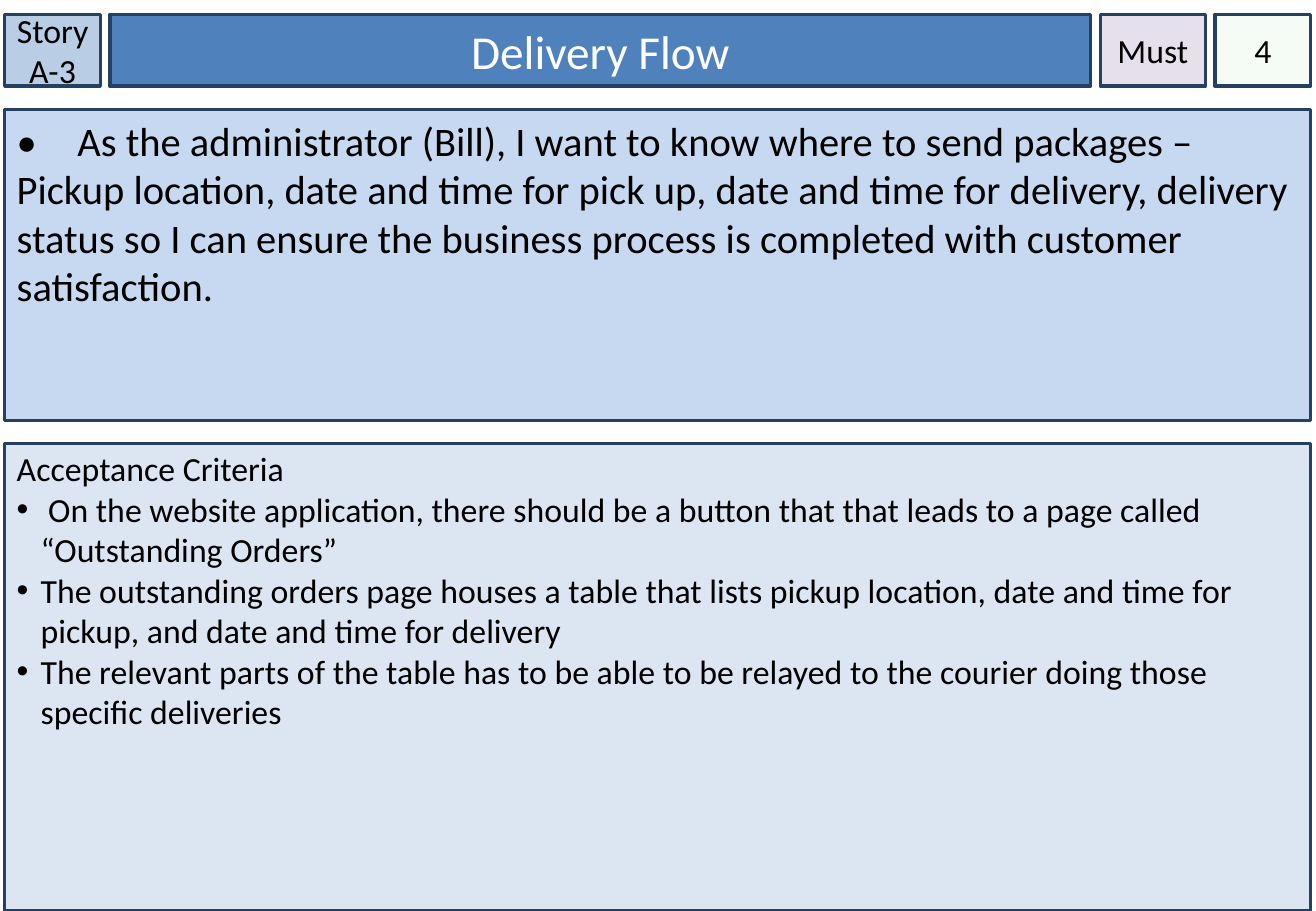
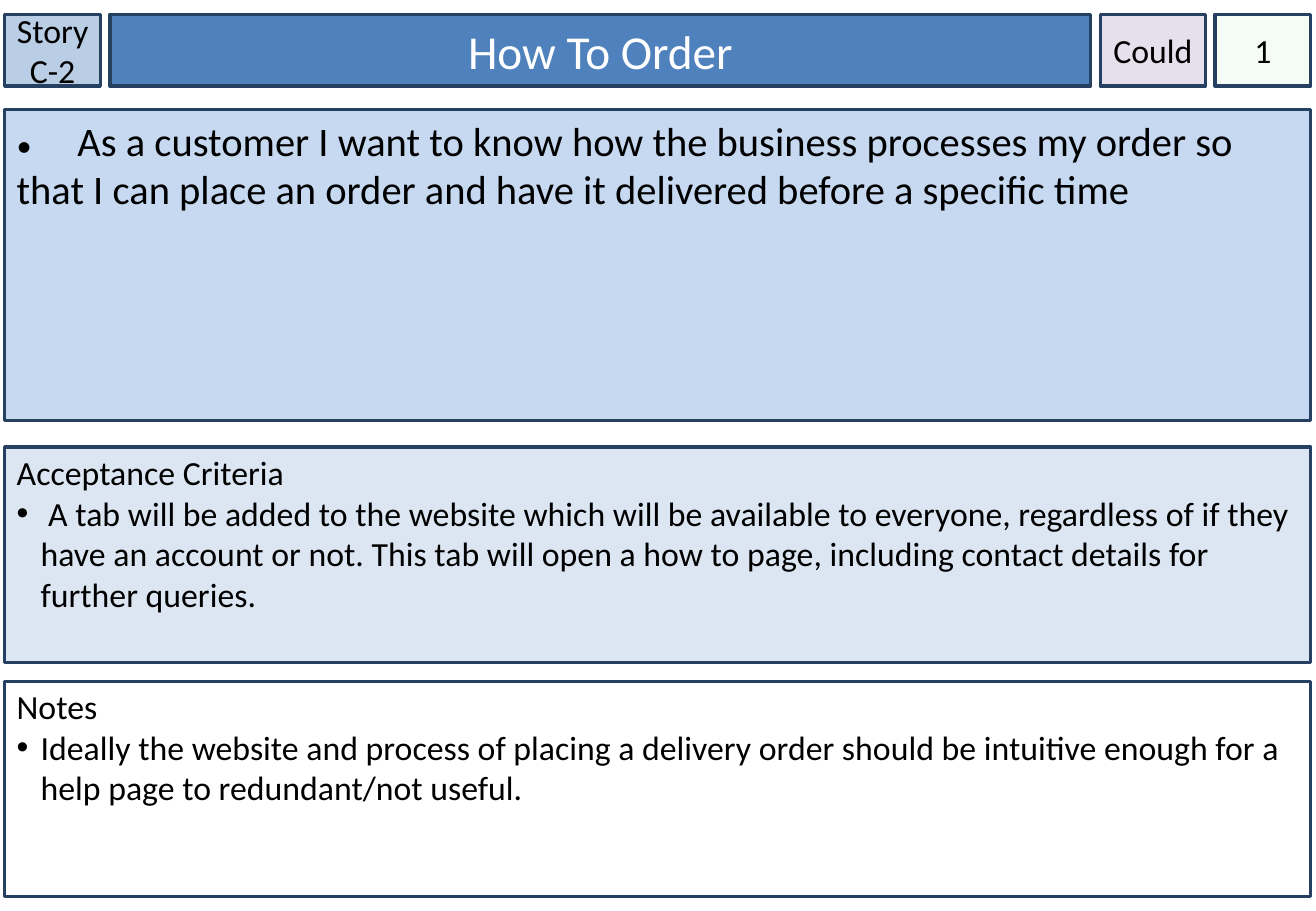
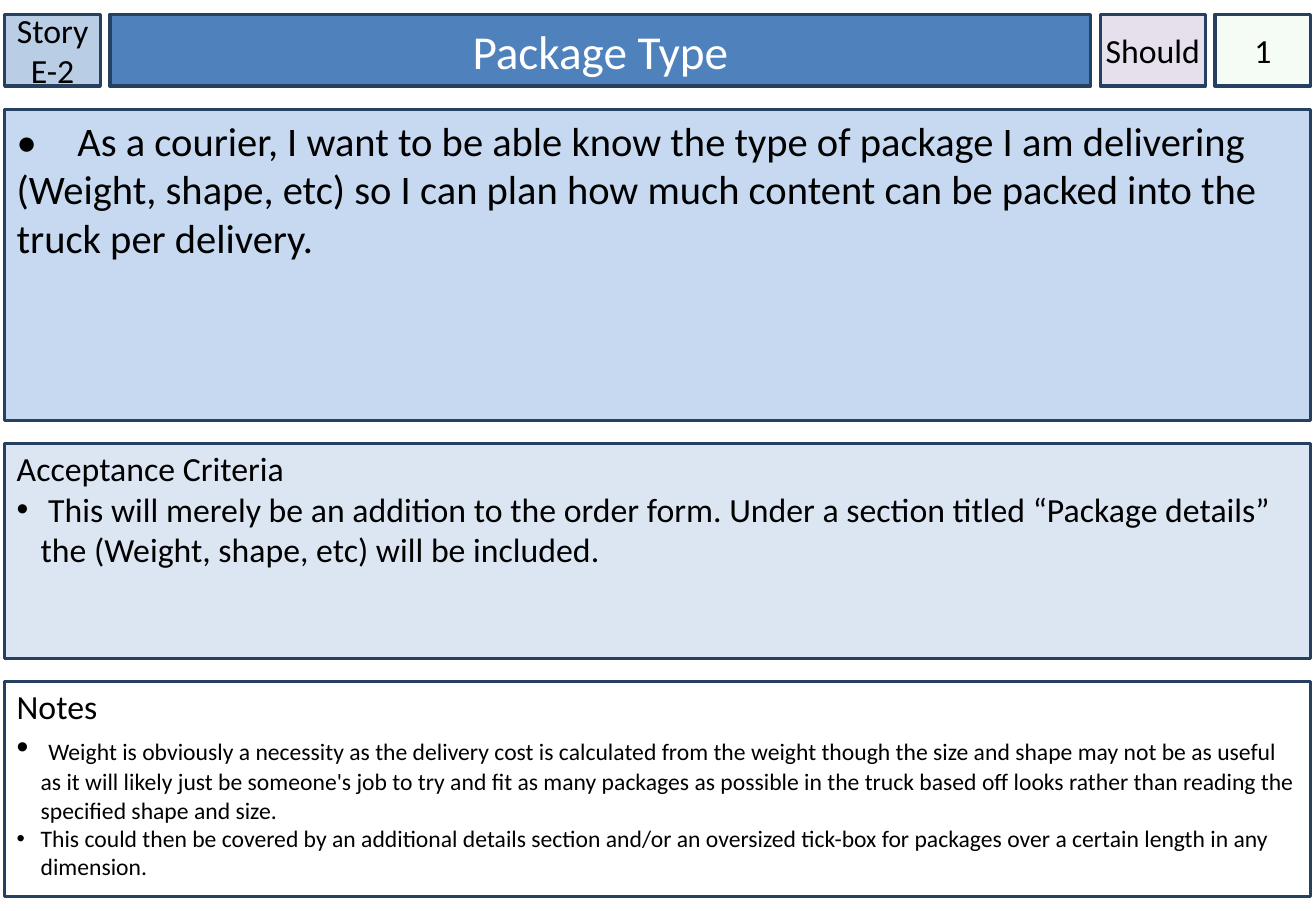
from lxml import etree
from pptx import Presentation
from pptx.dml.color import RGBColor
from pptx.enum.shapes import MSO_SHAPE
from pptx.enum.text import MSO_ANCHOR, PP_ALIGN
from pptx.oxml.ns import qn
from pptx.util import Cm, Pt

RECT = MSO_SHAPE.RECTANGLE
TOP, MIDDLE = MSO_ANCHOR.TOP, MSO_ANCHOR.MIDDLE
LEFT, CENTER = PP_ALIGN.LEFT, PP_ALIGN.CENTER

FONT = "Calibri"
COLORS = {
    "edge": "254061", "text": "000000", "light": "FFFFFF",
    "code": "B9CDE5", "title": "4F81BD", "rank": "E6E0EC",
    "points": "CCF0CD", "story": "C6D9F1", "tests": "DCE6F2",
    "notes": "FFFFFF",
}

# Card grid, in cm
WIDTH, HEIGHT = 27.51, 19.05
EDGE, GAP = 0.1, 0.2
FULL = 27.3
HEAD = (EDGE, 0.3, FULL, 1.5)
STORY = (EDGE, 2.29, FULL, 6.5)
TESTS_TOP, NOTES_TOP, SHORT = 9.27, 14.25, 4.5
INDENT = 0.5

CARDS = [
    {
        "code": "Story A-3", "title": "Delivery Flow",
        "rank": "Must", "points": "4",
        "story": "As the administrator (Bill), I want to know where to send "
                 "packages – Pickup location, date and time for pick up, date "
                 "and time for delivery, delivery status so I can ensure the "
                 "business process is completed with customer satisfaction.",
        "tests": [
            " On the website application, there should be a button that that "
            "leads to a page called “Outstanding Orders”",
            "The outstanding orders page houses a table that lists pickup "
            "location, date and time for pickup, and date and time for delivery",
            "The relevant parts of the table has to be able to be relayed to "
            "the courier doing those specific deliveries",
        ],
        "tall": HEIGHT - TESTS_TOP,
    },
    {
        "code": "Story C-2", "title": "How To Order",
        "rank": "Could", "points": "1", "mark": 18,
        "story": "As a customer I want to know how the business processes my "
                 "order so that I can place an order and have it delivered "
                 "before a specific time",
        "tests": [
            " A tab will be added to the website which will be available to "
            "everyone, regardless of if they have an account or not. This tab "
            "will open a how to page, including contact details for further "
            "queries.",
        ],
        "top": 9.35,
        "notes": [
            "Ideally the website and process of placing a delivery order "
            "should be intuitive enough for a help page to redundant/not "
            "useful.",
        ],
    },
    {
        "code": "Story E-2", "title": "Package Type",
        "rank": "Should", "points": "1",
        "story": "As a courier, I want to be able know the type of package I "
                 "am delivering (Weight, shape, etc) so I can plan how much "
                 "content can be packed into the truck per delivery.",
        "tests": [
            " This will merely be an addition to the order form. Under a "
            "section titled “Package details” the (Weight, shape, etc) will "
            "be included.",
        ],
        "notes": [
            [(" ", 20),
             ("Weight is obviously a necessity as the delivery cost is "
              "calculated from the weight though the size and shape may not "
              "be as useful as it will likely just be someone's job to try "
              "and fit as many packages as possible in the truck based off "
              "looks rather than reading the specified shape and size.", 14)],
            [("This could then be covered by an additional details section "
              "and/or an oversized tick-box for packages over a certain "
              "length in any dimension.", 14)],
        ],
    },
]


def color(name):
    return RGBColor.from_string(COLORS[name])


def panel(slide, box, fill, anchor=TOP, side=0.25, top=0.13):
    """Draw an outlined box and return it, ready for text."""
    shape = slide.shapes.add_shape(RECT, *(Cm(v) for v in box))
    shape.shadow.inherit = False
    shape.fill.solid()
    shape.fill.fore_color.rgb = color(fill)
    shape.line.color.rgb = color("edge")
    shape.line.width = Pt(2)
    frame = shape.text_frame
    frame.word_wrap = True
    frame.vertical_anchor = anchor
    frame.margin_left = frame.margin_right = Cm(side)
    frame.margin_top, frame.margin_bottom = Cm(top), Cm(0.13)
    return shape


def write(para, text, size=20, align=LEFT, ink="text", bullet=False):
    """Fill a paragraph from a string or a list of (text, size) runs."""
    runs = [(text, size)] if isinstance(text, str) else text
    para.alignment = align
    if bullet:
        props = para._p.get_or_add_pPr()
        props.set("marL", str(Cm(INDENT)))
        props.set("indent", str(-Cm(INDENT)))
        etree.SubElement(props, qn("a:buFont")).set("typeface", "Arial")
        etree.SubElement(props, qn("a:buChar")).set("char", "•")
    font = para.font
    font.name, font.size = FONT, Pt(runs[0][1])
    font.color.rgb = color(ink)
    for words, points in runs:
        run = para.add_run()
        run.text = words
        if points != runs[0][1]:
            run.font.size = Pt(points)


def header(slide, box, card):
    """Row of four cells: code, title, rank and points."""
    left, top, width, height = box
    sides = {"code": 2, "rank": 2.2, "points": 2}
    rest = width - sum(sides.values()) - 3 * GAP
    for name in ("code", "title", "rank", "points"):
        wide = sides.get(name, rest)
        main = name == "title"
        cell = panel(slide, (left, top, wide, height), name, MIDDLE,
                     0.25 if main else 0)
        write(cell.text_frame.paragraphs[0], card[name], 28 if main else 20,
              CENTER, "light" if main else "text")
        if name == "rank":
            cell.text_frame.word_wrap = False
        if name == "points":
            tint = cell.fill._xPr.find(".//" + qn("a:srgbClr"))
            etree.SubElement(tint, qn("a:alpha")).set("val", "20000")
        left += wide + GAP


def story(slide, box, card):
    """User story, opened by a mark and a tab."""
    frame = panel(slide, box, "story").text_frame
    runs = [("•\t", card.get("mark", 24)), (card["story"], 24)]
    write(frame.paragraphs[0], runs)


def listing(slide, box, fill, title, items):
    """Titled box with a bullet list."""
    frame = panel(slide, box, fill, top=0.1).text_frame
    write(frame.paragraphs[0], title)
    for item in items:
        write(frame.add_paragraph(), item, bullet=True)


def build(deck, card):
    slide = deck.slides.add_slide(deck.slide_layouts[6])
    header(slide, HEAD, card)
    story(slide, STORY, card)
    tests = (EDGE, card.get("top", TESTS_TOP), FULL, card.get("tall", SHORT))
    listing(slide, tests, "tests", "Acceptance Criteria", card["tests"])
    if "notes" in card:
        listing(slide, (EDGE, NOTES_TOP, FULL, SHORT), "notes", "Notes",
                card["notes"])


def main():
    deck = Presentation()
    deck.slide_width, deck.slide_height = Cm(WIDTH), Cm(HEIGHT)
    for card in CARDS:
        build(deck, card)
    deck.save("out.pptx")


if __name__ == "__main__":
    main()
